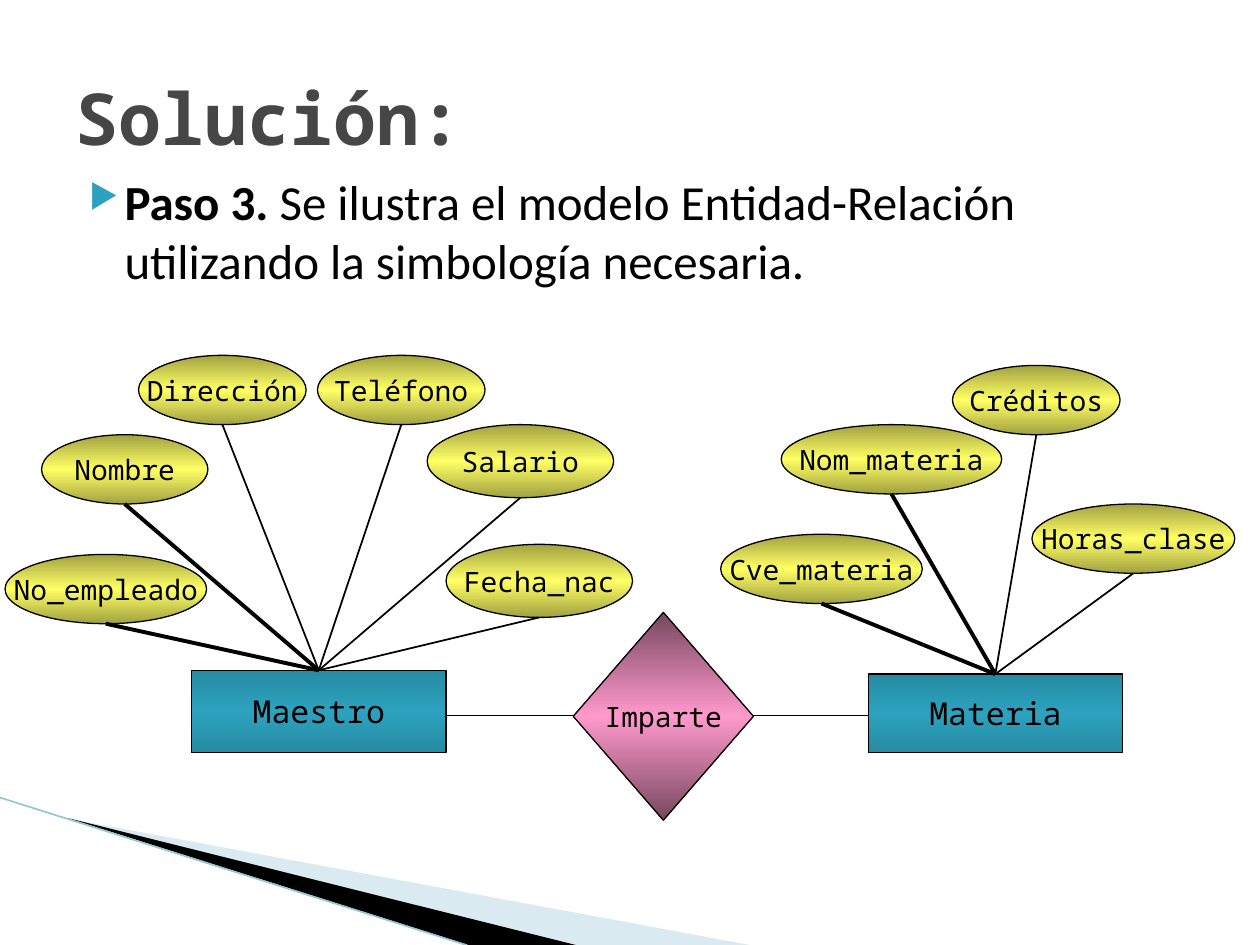
from copy import deepcopy
from dataclasses import dataclass

from lxml import etree
from pptx import Presentation
from pptx.dml.color import RGBColor
from pptx.enum.shapes import MSO_CONNECTOR, MSO_SHAPE
from pptx.enum.text import MSO_ANCHOR, MSO_AUTO_SIZE, PP_ALIGN
from pptx.oxml.ns import qn
from pptx.util import Inches, Pt

RECTANGLE, DIAMOND, OVAL = MSO_SHAPE.RECTANGLE, MSO_SHAPE.DIAMOND, MSO_SHAPE.OVAL
STRAIGHT = MSO_CONNECTOR.STRAIGHT
MIDDLE, TOP = MSO_ANCHOR.MIDDLE, MSO_ANCHOR.TOP
LEFT, CENTER = PP_ALIGN.LEFT, PP_ALIGN.CENTER
NO_AUTOFIT = MSO_AUTO_SIZE.NONE


@dataclass(frozen=True)
class Theme:
    mono: str = "Noto Sans Mono"
    body: str = "Calibri"
    ink: str = "000000"
    title: str = "464646"
    accent: str = "2DA2BF"
    swoosh: str = "A0CBDC"
    swoosh_line: str = "97C5D8"
    entity: tuple = ("268BA3", "2DA2BF", "268BA3")
    relation: tuple = ("76475E", "FF99CC", "76475E")
    attribute: tuple = ("A2A241", "FFFF66", "A2A241")
    title_size: int = 41
    body_size: int = 28
    entity_size: int = 18
    label_size: int = 16
    outline: float = 0.75
    thin: float = 1
    key: float = 2.25


theme = Theme()
rgb = RGBColor.from_string

prs = Presentation()
prs.slide_width, prs.slide_height = Inches(10), Inches(7.5)
slide = prs.slides.add_slide(prs.slide_layouts[5])
shapes = slide.shapes


def add_line(start, end, width, color=theme.ink):
    line = shapes.add_connector(STRAIGHT, *map(Inches, start + end))
    line.line.color.rgb = rgb(color)
    line.line.width = Pt(width)
    etree.SubElement(line._element.spPr, qn("a:effectLst"))


def add_node(kind, box, label, colors, size):
    node = shapes.add_shape(kind, *map(Inches, box))
    node.shadow.inherit = False
    node.fill.gradient()
    node.fill.gradient_angle = 270
    stops = node.fill._fill._gradFill.find(qn("a:gsLst"))
    stops.insert(1, deepcopy(stops[0]))
    for stop, color, position in zip(node.fill.gradient_stops, colors, (0, 0.5, 1)):
        stop.color.rgb = rgb(color)
        stop.position = position
    node.line.color.rgb = rgb(theme.ink)
    node.line.width = Pt(theme.outline)
    frame = node.text_frame
    frame.word_wrap = False
    frame.vertical_anchor = MIDDLE
    paragraph = frame.paragraphs[0]
    paragraph.text = label
    paragraph.alignment = CENTER
    paragraph.font.name = theme.mono
    paragraph.font.size = Pt(size)
    paragraph.font.color.rgb = rgb(theme.ink)


swooshes = [
    ([(0.55, 6.5), (5.95, 7.5), (4.56, 7.5)], theme.swoosh),
    ([(0.53, 6.49), (4.57, 7.5), (3.72, 7.5)], theme.ink),
]
for points, color in swooshes:
    corners = [(Inches(x), Inches(y)) for x, y in points]
    builder = shapes.build_freeform(*corners[0])
    builder.add_line_segments(corners[1:])
    swoosh = builder.convert_to_shape()
    swoosh.shadow.inherit = False
    swoosh.fill.solid()
    swoosh.fill.fore_color.rgb = rgb(color)
    swoosh.line.fill.background()
    if color == theme.swoosh:
        tint = swoosh._element.spPr.find(qn("a:solidFill"))[0]
        etree.SubElement(tint, qn("a:alpha"), val="40000")
add_line((0, 6.33), (3.7, 7.5), 0.95, theme.swoosh_line)

title = shapes.title
title.left, title.top, title.width, title.height = map(Inches, (0.5, 0.3, 9, 1.25))
title.text_frame.auto_size = NO_AUTOFIT
title.text_frame.vertical_anchor = MIDDLE
heading = title.text_frame.paragraphs[0]
heading.text = "Solución:"
heading.alignment = LEFT
heading.font.name = theme.mono
heading.font.size = Pt(theme.title_size)
heading.font.bold = True
heading.font.color.rgb = rgb(theme.title)

step_box = shapes.add_textbox(*map(Inches, (0.49, 1.31, 9, 1.18)))
step_box.text_frame.word_wrap = True
step_box.text_frame.vertical_anchor = TOP
step = step_box.text_frame.paragraphs[0]
step.space_before = Pt(4)
step.font.name = theme.body
step.font.size = Pt(theme.body_size)
step.font.color.rgb = rgb(theme.ink)
step_number = step.add_run()
step_number.text = "Paso 3. "
step_number.font.bold = True
step.add_run().text = (
    "Se ilustra el modelo Entidad-Relación utilizando la simbología necesaria."
)
properties = step._p.get_or_add_pPr()
properties.set("marL", str(Inches(0.4)))
properties.set("indent", str(Inches(-0.28)))
bullet_color = etree.Element(qn("a:buClr"))
etree.SubElement(bullet_color, qn("a:srgbClr"), val=theme.accent)
bullet = [
    bullet_color,
    etree.Element(qn("a:buSzPct"), val="68000"),
    etree.Element(qn("a:buChar"), char="▶"),
]
after_spacing = properties.index(properties.find(qn("a:spcBef"))) + 1
properties[after_spacing:after_spacing] = bullet

entities = [
    ("Maestro", (1.52, 5.32, 2.02, 0.65), [
        ("No_empleado", (0.04, 4.4, 1.6, 0.55), theme.key),
        ("Nombre", (0.33, 3.45, 1.32, 0.55), theme.key),
        ("Dirección", (1.1, 2.82, 1.33, 0.55), theme.thin),
        ("Teléfono", (2.52, 2.82, 1.33, 0.55), theme.thin),
        ("Salario", (3.39, 3.37, 1.48, 0.58), theme.thin),
        ("Fecha_nac", (3.54, 4.32, 1.48, 0.58), theme.thin),
    ]),
    ("Materia", (6.89, 5.35, 2.02, 0.62), [
        ("Cve_materia", (5.72, 4.24, 1.6, 0.55), theme.key),
        ("Nom_materia", (6.2, 3.37, 1.75, 0.55), theme.key),
        ("Créditos", (7.56, 2.9, 1.33, 0.55), theme.thin),
        ("Horas_clase", (8.19, 4, 1.61, 0.55), theme.thin),
    ]),
]
for entity, entity_box, attributes in entities:
    left, top, width, height = entity_box
    hub = (left + width / 2, top)
    add_node(RECTANGLE, entity_box, entity, theme.entity, theme.entity_size)
    for attribute, box, weight in attributes:
        x, y, w, h = box
        add_node(OVAL, box, attribute, theme.attribute, theme.label_size)
        add_line((x + w / 2, y + h), hub, weight)

add_node(DIAMOND, (4.55, 4.86, 1.43, 1.65), "Imparte", theme.relation, theme.label_size)
for start, end in [(3.54, 4.55), (5.98, 6.89)]:
    add_line((start, 5.68), (end, 5.68), theme.outline)

prs.save("out.pptx")
